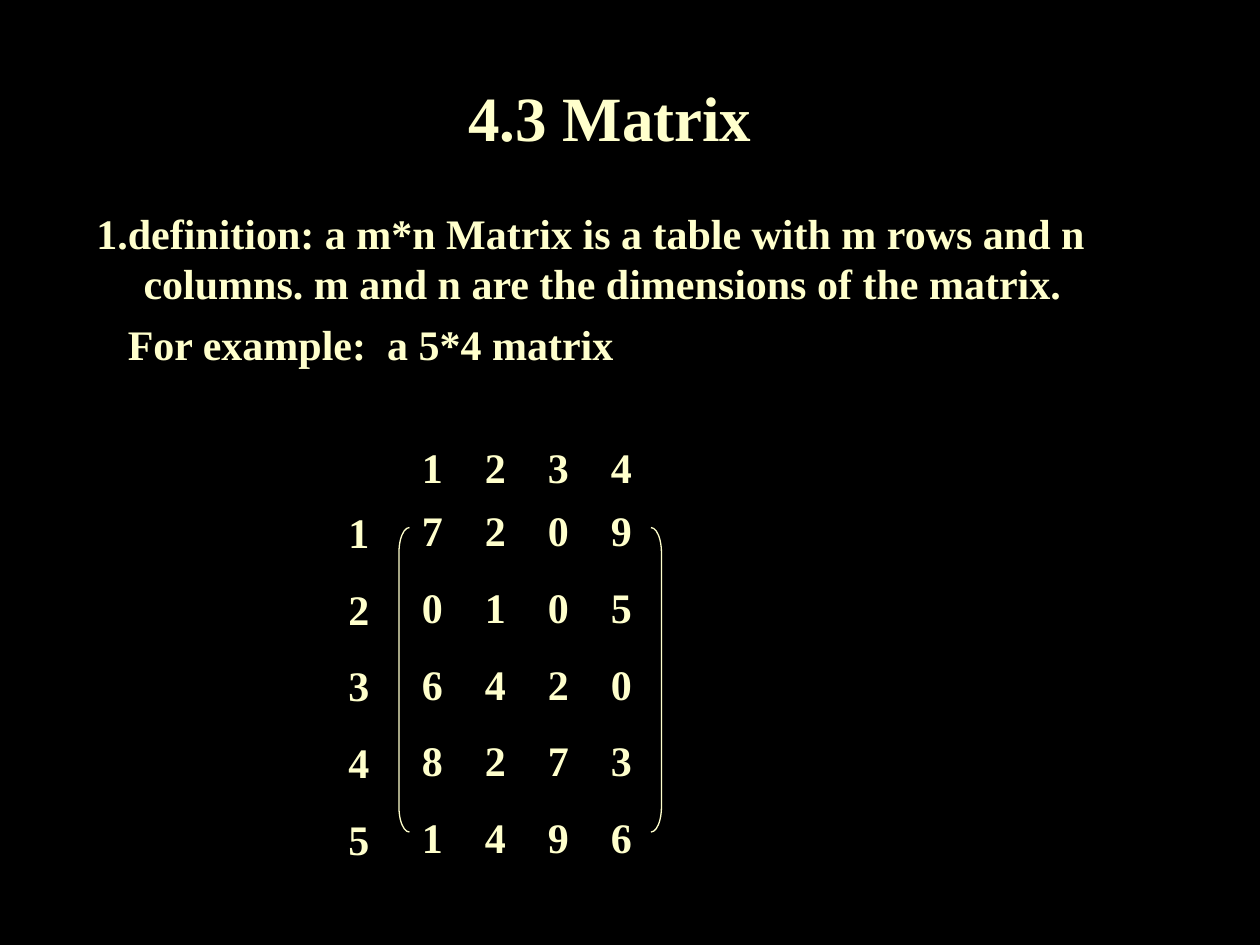
from lxml import etree
from pptx import Presentation
from pptx.dml.color import RGBColor
from pptx.enum import shapes, text
from pptx.oxml import ns
from pptx.util import Pt

COLORS = {"background": "000000", "cream": "FFFFCC"}
FONT = "Times New Roman"
COLUMN_STEP = 36


def style_font(font, size, bold=True):
    font.name = FONT
    font.size = Pt(size)
    font.bold = bold
    font.color.rgb = RGBColor.from_string(COLORS["cream"])


def add_lines(slide, left, top, width, height, lines, gap, tabs=0):
    box = slide.shapes.add_textbox(Pt(left), Pt(top), Pt(width), Pt(height))
    frame = box.text_frame
    frame.word_wrap = True
    for index, line in enumerate(lines):
        paragraph = frame.paragraphs[0] if index == 0 else frame.add_paragraph()
        paragraph.text = line
        if tabs:
            properties = paragraph._p.get_or_add_pPr()
            tab_list = etree.SubElement(properties, ns.qn("a:tabLst"))
            for stop in range(1, tabs + 1):
                position = str(int(Pt(stop * COLUMN_STEP)))
                etree.SubElement(tab_list, ns.qn("a:tab"), pos=position, algn="l")
        paragraph.line_spacing = Pt(28.8)
        if index:
            paragraph.space_before = Pt(gap)
        style_font(paragraph.font, 24)
    return frame


presentation = Presentation()
presentation.slide_width = Pt(720)
presentation.slide_height = Pt(540)
slide = presentation.slides.add_slide(presentation.slide_layouts[6])
slide.background.fill.solid()
slide.background.fill.fore_color.rgb = RGBColor.from_string(COLORS["background"])

title = slide.shapes.add_textbox(Pt(48), Pt(18), Pt(612), Pt(90))
title.text_frame.word_wrap = True
title.text_frame.vertical_anchor = text.MSO_ANCHOR.MIDDLE
title_paragraph = title.text_frame.paragraphs[0]
title_paragraph.alignment = text.PP_ALIGN.CENTER
for words, size, bold in (("4.3 Matrix", 36, True), (" ", 44, False)):
    run = title_paragraph.add_run()
    run.text = words
    style_font(run.font, size, bold)

definition = [
    "1.definition: a m*n Matrix is a table with m rows and n columns. "
    "m and n are the dimensions of the matrix.",
    "For example:  a 5*4 matrix",
]
body = add_lines(slide, 48, 115, 612, 324, definition, 6)
for paragraph, margin, indent in zip(body.paragraphs, (27, 18), (-27, 0)):
    properties = paragraph._p.get_or_add_pPr()
    properties.set("marL", str(int(Pt(margin))))
    properties.set("indent", str(int(Pt(indent))))

matrix = [[7, 2, 0, 9], [0, 1, 0, 5], [6, 4, 2, 0], [8, 2, 7, 3], [1, 4, 9, 6]]
matrix_lines = ["\t".join(map(str, row)) for row in matrix]
row_labels = [str(number) for number in range(1, 6)]
column_labels = ["\t".join(str(number) for number in range(1, 5))]
add_lines(slide, 234, 285, 204, 211, matrix_lines, 15, tabs=3)
add_lines(slide, 192, 286, 30, 211, row_labels, 15)
add_lines(slide, 234, 249, 162, 36, column_labels, 15, tabs=3)

brackets = (
    (shapes.MSO_SHAPE.LEFT_BRACKET, 228),
    (shapes.MSO_SHAPE.RIGHT_BRACKET, 372),
)
for kind, left in brackets:
    bracket = slide.shapes.add_shape(kind, Pt(left), Pt(301.5), Pt(6), Pt(174))
    bracket.adjustments[0] = 2.4
    bracket.shadow.inherit = False
    bracket.fill.background()
    bracket.line.color.rgb = RGBColor.from_string(COLORS["cream"])
    bracket.line.width = Pt(0.75)

presentation.save("out.pptx")
